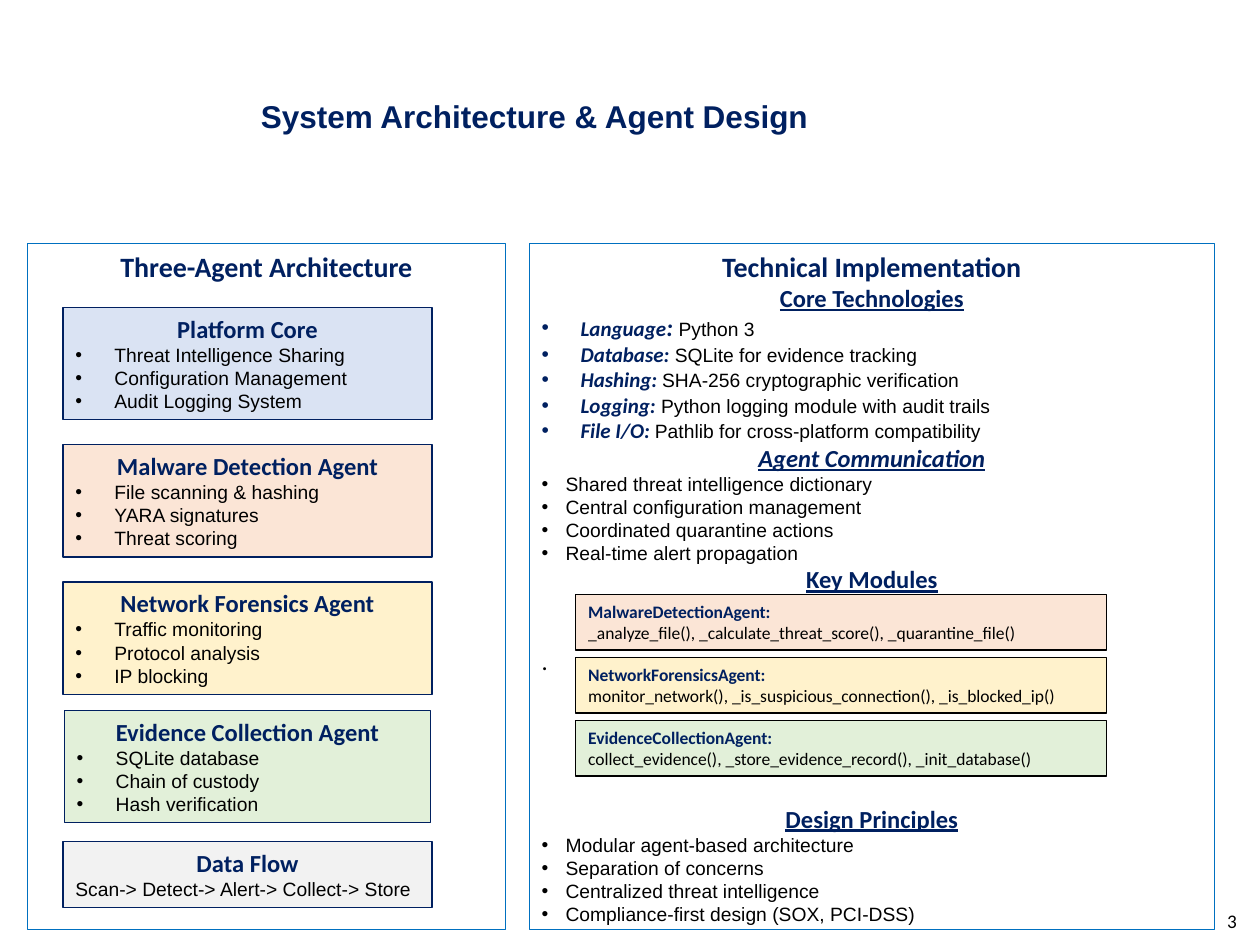
from lxml import etree
from pptx import Presentation, util as u
from pptx.dml.color import RGBColor
from pptx.enum import shapes, text
from pptx.oxml.ns import qn

NAVY = RGBColor(0x00, 0x20, 0x60)
BLUE = RGBColor(0x00, 0x70, 0xC0)
BLACK = RGBColor(0x00, 0x00, 0x00)
ICE = RGBColor(0xDA, 0xE3, 0xF3)
PEACH = RGBColor(0xFB, 0xE5, 0xD6)
CREAM = RGBColor(0xFF, 0xF2, 0xCC)
MINT = RGBColor(0xE2, 0xF0, 0xD9)
GREY = RGBColor(0xF2, 0xF2, 0xF2)

# style: font, size, colour, bold, italic, underline
STYLES = {
    "title": ("Arial", 18, NAVY, True, False, False),
    "head": ("Calibri", 16, NAVY, True, False, False),
    "name": ("Calibri", 14, NAVY, True, False, False),
    "sub": ("Calibri", 14, NAVY, True, False, True),
    "slant": ("Calibri", 14, NAVY, True, True, True),
    "key": ("Calibri", 12, NAVY, True, True, False),
    "colon": ("Calibri", 14, NAVY, True, True, False),
    "body": ("Arial", 11, BLACK, False, False, False),
    "class": ("Calibri", 10, NAVY, True, False, False),
    "code": ("Calibri", 10, BLACK, False, False, False),
    "page": ("Calibri", 11, BLACK, False, False, False),
    "dot": ("Calibri", 14, BLACK, False, False, False),
}
MID, LEFT = "mid", "left"
WIDE, SLIM = 0.31, 0.19  # bullet indents in inches

prs = Presentation()
prs.slide_width, prs.slide_height = u.Inches(10), u.Inches(7.5)
COL, ROW = prs.slide_width / 100, prs.slide_height / 75
slide = prs.slides.add_slide(prs.slide_layouts[5])


def write(shape, paras):
    """Fill a shape from (layout, space before, (text, style), ...) rows.

    The layout is MID, LEFT or the width of a bullet's hanging indent.
    """
    frame = shape.text_frame
    frame.word_wrap = True
    frame.vertical_anchor = text.MSO_ANCHOR.TOP
    for i, (lay, gap, *runs) in enumerate(paras):
        para = frame.paragraphs[0] if i == 0 else frame.add_paragraph()
        para.alignment = text.PP_ALIGN.CENTER if lay == MID else text.PP_ALIGN.LEFT
        if gap:
            para.space_before = u.Pt(gap)
        if lay not in (MID, LEFT):
            props = para._p.get_or_add_pPr()
            props.set("marL", str(u.Inches(lay)))
            props.set("indent", str(-u.Inches(lay)))
            etree.SubElement(props, qn("a:buFont"), typeface="Arial")
            etree.SubElement(props, qn("a:buChar"), char="•")
        para.text = "".join(words for words, _ in runs) if len(runs) == 1 else ""
        for words, style in runs:
            run = para.runs[0] if len(runs) == 1 else para.add_run()
            run.text = words
            font = run.font
            font.name, size, font.color.rgb, font.bold, font.italic, font.underline = STYLES[style]
            font.size = u.Pt(size)


def panel(x, y, w, h, line, fill=None):
    """Add a thinly outlined rectangle, placed in columns and rows."""
    box = slide.shapes.add_shape(
        shapes.MSO_SHAPE.RECTANGLE, int(x * COL), int(y * ROW), int(w * COL), int(h * ROW))
    box.shadow.inherit = False
    box.line.color.rgb = line
    box.line.width = u.Pt(0.75)
    if fill is None:
        box.fill.background()
    else:
        box.fill.solid()
        box.fill.fore_color.rgb = fill
    return box


title = slide.shapes.title
title.left, title.top = int(19.7 * COL), int(7.2 * ROW)
title.width, title.height = int(79.2 * COL), int(4 * ROW)
write(title, [(LEFT, 0, ("System Architecture & Agent Design", "title"))])

page = slide.shapes.add_textbox(int(96.4 * COL), int(71.7 * ROW), int(3.6 * COL), int(2.9 * ROW))
write(page, [(LEFT, 0, ("3", "page"))])

# Left panel: the agents
write(panel(2.2, 19.3, 37.9, 54.5, BLUE), [(MID, 0, ("Three-Agent Architecture", "head"))])
AGENTS = [
    (24.4, ICE, "Platform Core",
     ["Threat Intelligence Sharing", "Configuration Management", "Audit Logging System"]),
    (35.3, PEACH, "Malware Detection Agent",
     ["File scanning & hashing", "YARA signatures", "Threat scoring"]),
    (46.2, CREAM, "Network Forensics Agent",
     ["Traffic monitoring", "Protocol analysis", "IP blocking"]),
    (56.4, MINT, "Evidence Collection Agent",
     ["SQLite database", "Chain of custody", "Hash verification"]),
]
for top, fill, name, duties in AGENTS:
    inset = 0.1 if fill == MINT else 0
    box = panel(5 + inset, top, 29.3 - 2 * inset, 8.9, NAVY, fill)
    write(box, [(MID, 0, (name, "name"))] + [(WIDE, 0, (duty, "body")) for duty in duties])
write(panel(5, 66.8, 29.3, 5.2, NAVY, GREY), [
    (MID, 0, ("Data Flow", "name")),
    (LEFT, 0, ("Scan-> Detect-> Alert-> Collect-> Store", "body")),
])

# Right panel: the implementation
TOOLS = [
    ("Database:", " SQLite for evidence tracking"),
    ("Hashing: ", "SHA-256 cryptographic verification"),
    ("Logging:", " Python logging module with audit trails"),
    ("File I/O: ", "Pathlib for cross-platform compatibility"),
]
LINKS = ["Shared threat intelligence dictionary", "Central configuration management",
         "Coordinated quarantine actions", "Real-time alert propagation"]
RULES = ["Modular agent-based architecture", "Separation of concerns",
         "Centralized threat intelligence", "Compliance-first design (SOX, PCI-DSS)"]
write(panel(42, 19.3, 54.4, 54.5, BLUE), [
    (MID, 0, ("Technical Implementation", "head")),
    (MID, 0, ("Core Technologies", "sub")),
    (WIDE, 0, ("Language", "key"), (": ", "colon"), ("Python 3", "body")),
    *[(WIDE, 0, (key, "key"), (use, "body")) for key, use in TOOLS],
    (MID, 0, ("Agent Communication", "slant")),
    *[(SLIM, 0, (link, "body")) for link in LINKS],
    (MID, 0, ("Key Modules", "sub")),
    (LEFT, 30, (".", "dot")),
    (MID, 73, ("Design Principles", "sub")),
    *[(SLIM, 0, (rule, "body")) for rule in RULES],
])

MODULES = [
    (PEACH, "MalwareDetectionAgent:",
     "_analyze_file(), _calculate_threat_score(), _quarantine_file()"),
    (CREAM, "NetworkForensicsAgent:",
     "monitor_network(), _is_suspicious_connection(), _is_blocked_ip()"),
    (MINT, "EvidenceCollectionAgent:",
     "collect_evidence(), _store_evidence_record(), _init_database()"),
]
for i, (fill, name, calls) in enumerate(MODULES):
    box = panel(45.7, 47.2 + 5 * i, 42.1, 4.4, BLACK, fill)
    write(box, [(LEFT, 0, (name, "class")), (LEFT, 0, (calls, "code"))])

prs.save("out.pptx")
